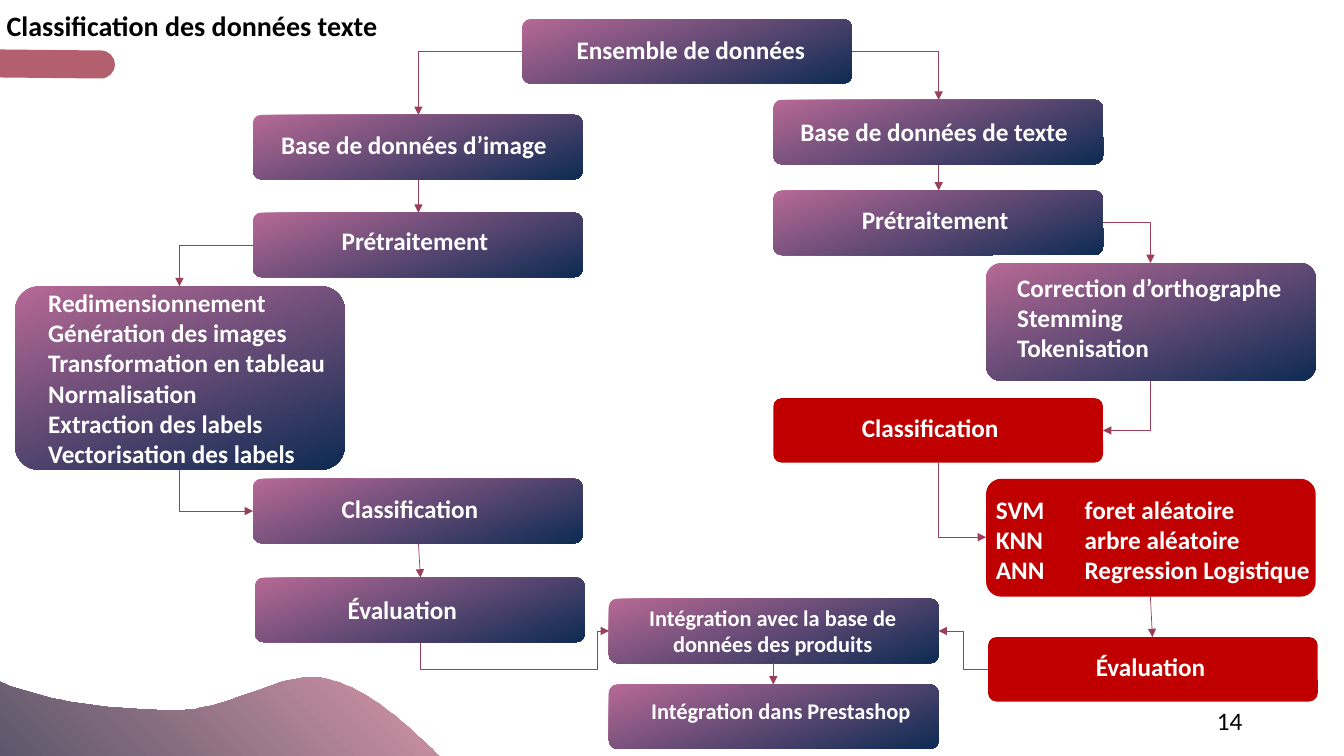
from lxml import etree
from pptx import Presentation
from pptx.dml.color import RGBColor
from pptx.enum.shapes import MSO_CONNECTOR, MSO_SHAPE
from pptx.enum.text import MSO_ANCHOR, PP_ALIGN
from pptx.oxml.ns import qn
from pptx.util import Pt

PX = 9144  # EMU per px, 100 px to the inch
COLORS = {
    "white": "FFFFFF", "black": "000000", "red": "C00000", "arrow": "9B3F59",
    "bar": "B35F6D", "mauve": "B76996", "navy": "0D2B53",
    "pink": "D496A7", "slate": "5D576B",
}
RGB = {name: RGBColor.from_string(value) for name, value in COLORS.items()}
LEFT, CENTER, RIGHT = PP_ALIGN.LEFT, PP_ALIGN.CENTER, PP_ALIGN.RIGHT
TOP, MIDDLE = MSO_ANCHOR.TOP, MSO_ANCHOR.MIDDLE

deck = Presentation()
deck.slide_width, deck.slide_height = 1333 * PX, 750 * PX
page = deck.slides.add_slide(deck.slide_layouts[6])


def paint(shape, first, last, angle):
    """Fill with a gradient, or plainly when both colours are equal; no line, no shadow."""
    shape.shadow.inherit = False
    shape.line.fill.background()
    if first == last:
        shape.fill.solid()
        shape.fill.fore_color.rgb = RGB[first]
        return
    shape.fill.gradient()
    shape.fill.gradient_angle = angle
    for stop, name in zip(shape.fill.gradient_stops, (first, last)):
        stop.color.rgb = RGB[name]


def add_text(area, text, size=18, bold=True, color="white", align=LEFT,
             anchor=TOP, spacing=1.0):
    box = page.shapes.add_textbox(*(n * PX for n in area))
    frame = box.text_frame
    frame.word_wrap = True
    frame.vertical_anchor = anchor
    for number, line in enumerate(text.split("\n")):
        para = frame.paragraphs[0] if number == 0 else frame.add_paragraph()
        para.alignment = align
        para.line_spacing = spacing
        if "\t" in line:
            tabs = etree.SubElement(para._p.get_or_add_pPr(), qn("a:tabLst"))
            etree.SubElement(tabs, qn("a:tab"), pos=str(88 * PX), algn="l")
        span = para.add_run()
        span.text = line
        look = {"name": "Calibri", "size": Pt(size), "bold": bold}
        for key, value in look.items():
            setattr(span.font, key, value)
        span.font.color.rgb = RGB[color]


# Wave in the bottom left corner: each curve is start, two controls, end
curves = [
    [(313, 672), (315, 672), (318, 672), (321, 673)],
    [(321, 673), (364, 680), (415, 729), (434, 749)],
    [(4, 678), (55, 699), (123, 704), (173, 705)],
    [(173, 705), (226, 705), (271, 670), (313, 672)],
]
outline = []
for number, curve in enumerate(curves):
    if number == 2:
        outline += [(436, 750), (-1, 750), (-1, 676)]
    for step in range(25):
        t = step / 24
        weights = ((1 - t) ** 3, 3 * t * (1 - t) ** 2, 3 * t * t * (1 - t), t ** 3)
        outline.append(tuple(sum(w * point[axis] for w, point in zip(weights, curve))
                             for axis in (0, 1)))
builder = page.shapes.build_freeform(*outline[0], scale=PX)
builder.add_line_segments(outline[1:], close=True)
paint(builder.convert_to_shape(), "pink", "slate", 225)

# Steps: box left, top, height; text left, top, width, height; text; red; centred small text
steps = [
    (518, 19, 64, (562, 29, 293, 40), "Ensemble de données", False, False),
    (767, 99, 64, (784, 110, 293, 40), "Base de données de texte", False, False),
    (251, 114, 64, (269, 123, 293, 40), "Base de données d’image", False, False),
    (767, 189, 64, (845, 198, 293, 40), "Prétraitement", False, False),
    (251, 211, 64, (329, 219, 293, 40), "Prétraitement", False, False),
    (978, 261, 117, (999, 265, 293, 101),
     "Correction d’orthographe\nStemming\nTokenisation", False, False),
    (15, 284, 182, (38, 280, 326, 192),
     "Redimensionnement\nGénération des images\nTransformation en tableau\n"
     "Normalisation\nExtraction des labels\nVectorisation des labels", False, False),
    (767, 395, 64, (845, 404, 293, 40), "Classification", True, False),
    (978, 475, 117, (978, 485, 334, 101),
     "SVM\tforet aléatoire\nKNN\tarbre aléatoire\nANN\tRegression Logistique", True, False),
    (604, 594, 64, (620, 594, 293, 64),
     "Intégration avec la base de données des produits", False, True),
    (604, 679, 64, (628, 687, 293, 37), "Intégration dans Prestashop", False, True),
    (251, 475, 64, (329, 484, 293, 40), "Classification", False, False),
    (253, 573, 64, (335, 585, 293, 40), "Évaluation", False, False),
    (980, 632, 64, (1077, 641, 293, 40), "Évaluation", True, False),
]
for left, top, height, area, text, red, small in steps:
    box = page.shapes.add_shape(MSO_SHAPE.ROUNDED_RECTANGLE,
                                left * PX, top * PX, 327 * PX, height * PX)
    box.adjustments[0] = 0.13
    paint(box, *(("red", "red") if red else ("mauve", "navy")), 290)
    add_text(area, text, size=16 if small else 18, align=CENTER if small else LEFT)

# Arrows: start, end, number of straight parts, leaves vertically, bend positions
arrows = [
    ((518, 51), (415, 114), 2, False, ()),
    ((845, 51), (931, 99), 2, False, ()),
    ((931, 164), (931, 189), 1, False, ()),
    ((415, 179), (415, 211), 1, False, ()),
    ((1094, 221), (1141, 261), 2, False, ()),
    ((251, 243), (178, 284), 2, False, ()),
    ((178, 466), (251, 507), 2, True, ()),
    ((415, 539), (417, 573), 1, False, ()),
    ((1141, 378), (1094, 427), 2, True, ()),
    ((931, 459), (978, 533), 2, True, ()),
    ((417, 638), (604, 626), 4, True, (-216200, 93700)),
    ((767, 658), (767, 679), 1, False, ()),
    ((1141, 592), (1143, 632), 1, False, ()),
    ((980, 664), (931, 626), 3, False, ()),
]
for (x1, y1), (x2, y2), parts, vertical, bends in arrows:
    if vertical:  # laid out flat around its centre, then turned by 90 degrees
        cx, cy, dx, dy = (x1 + x2) / 2, (y1 + y2) / 2, x2 - x1, y2 - y1
        x1, y1, x2, y2 = cx - dy / 2, cy + dx / 2, cx + dy / 2, cy - dx / 2
    kind = MSO_CONNECTOR.STRAIGHT if parts == 1 else MSO_CONNECTOR.ELBOW
    arrow = page.shapes.add_connector(kind, *(int(n * PX) for n in (x1, y1, x2, y2)))
    arrow.line.color.rgb = RGB["arrow"]
    arrow.line.width = Pt(0.5)
    properties = arrow._element.spPr
    if vertical:
        properties.find(qn("a:xfrm")).set("rot", "5400000")
    geometry = properties.find(qn("a:prstGeom"))
    if parts > 1:
        geometry.set("prst", f"bentConnector{parts}")
    for number, bend in enumerate(bends, 1):
        etree.SubElement(geometry.find(qn("a:avLst")), qn("a:gd"),
                         name=f"adj{number}", fmla=f"val {bend}")
    etree.SubElement(properties.find(qn("a:ln")), qn("a:tailEnd"), type="triangle")
    etree.SubElement(properties, qn("a:effectLst"))

title_bar = page.shapes.add_connector(MSO_CONNECTOR.STRAIGHT,
                                      -97 * PX, 62 * PX, 100 * PX, 64 * PX)
title_bar.line.color.rgb = RGB["bar"]
title_bar.line.width = Pt(20)
title_bar._element.spPr.find(qn("a:ln")).set("cap", "rnd")
etree.SubElement(title_bar._element.spPr, qn("a:effectLst"))

add_text((942, 695, 300, 40), "14", bold=False, color="black", align=RIGHT, anchor=MIDDLE)
add_text((-169, -5, 719, 56), "Classification des données texte", size=20, color="black",
         align=CENTER, anchor=MIDDLE, spacing=1.1)

deck.save("out.pptx")
